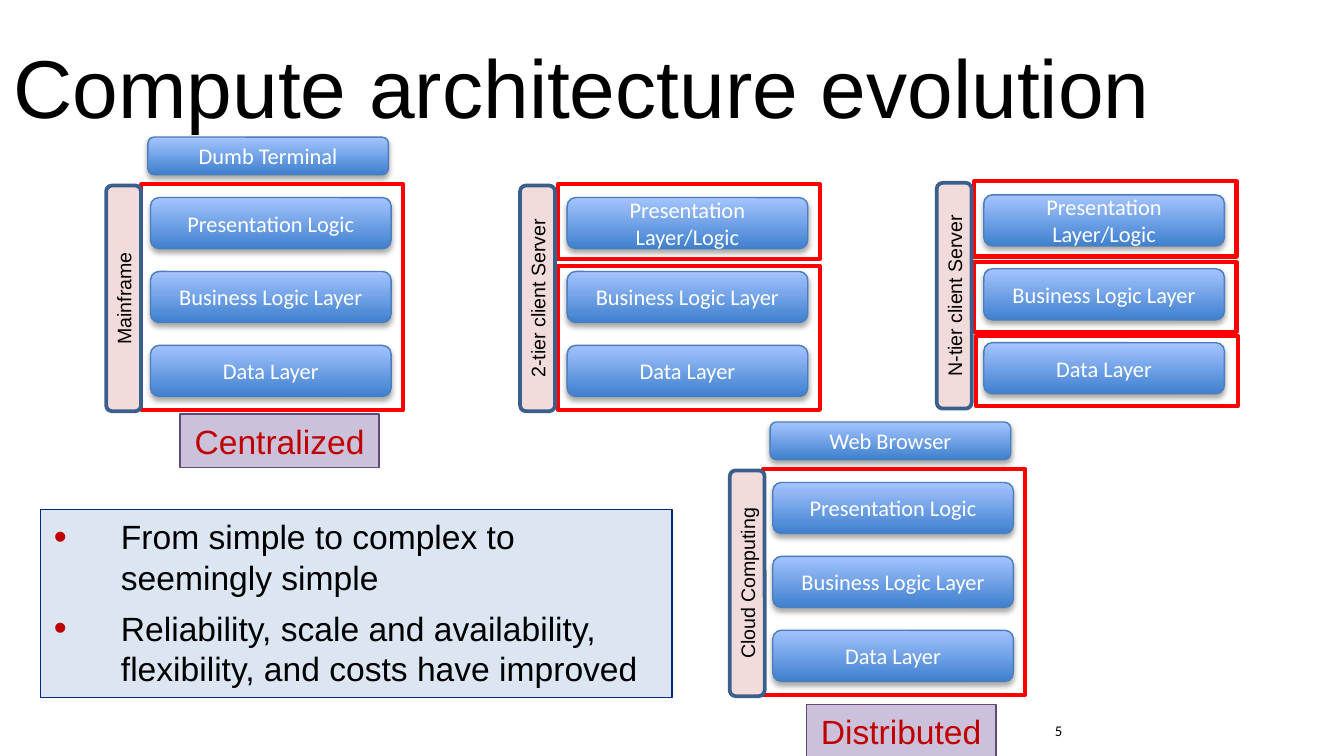
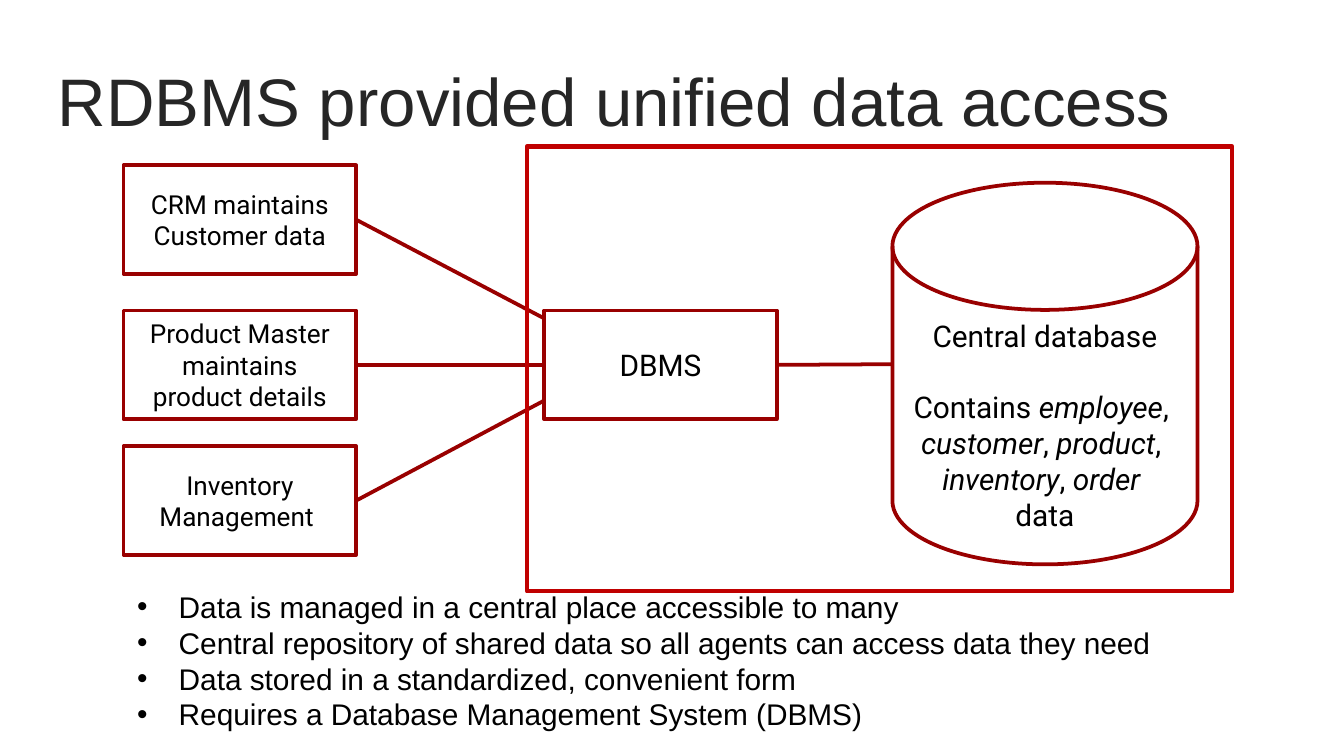
from lxml.etree import SubElement
from pptx import Presentation
from pptx.dml.color import RGBColor
from pptx.enum.shapes import MSO_CONNECTOR, MSO_SHAPE as Preset
from pptx.enum.text import MSO_ANCHOR as Anchor, MSO_AUTO_SIZE as AutoSize, PP_ALIGN as Align
from pptx.oxml.ns import qn
from pptx.util import Inches, Pt

BLACK, WHITE = "000000", "FFFFFF"
RED, DARK_RED, FRAME_RED = "C00000", "990000", "FF0000"
BLUE_GRADIENT = ("3F80CE", "A4C4FF")
hex_color = RGBColor.from_string


def format_text(frame, font, size, color, align=Align.LEFT):
    for para in frame.paragraphs:
        para.alignment = align
        for span in para.runs:
            span.font.name = font
            span.font.size = Pt(size)
            span.font.color.rgb = hex_color(color)


def add_box(page, preset, place, line, width, fill=None, text="",
            font="Arial", size=18, color=BLACK):
    """Add a shape; a pair of fill colours means a raised vertical gradient, bottom to top."""
    box = page.shapes.add_shape(preset, *map(Inches, place))
    box.shadow.inherit = False
    box.line.color.rgb = hex_color(line)
    box.line.width = Pt(width)
    if fill is None:
        box.fill.background()
    elif isinstance(fill, str):
        box.fill.solid()
        box.fill.fore_color.rgb = hex_color(fill)
    else:
        box.fill.gradient()
        box.fill.gradient_angle = 90
        for stop, shade in zip(box.fill.gradient_stops, fill):
            stop.color.rgb = hex_color(shade)
        effects = box._element.spPr.find(qn("a:effectLst"))
        shadow = SubElement(effects, qn("a:outerShdw"), blurRad=str(Pt(3.1)),
                            dist=str(Pt(1.8)), dir="5400000", rotWithShape="0")
        shadow_color = SubElement(shadow, qn("a:srgbClr"), val=BLACK)
        SubElement(shadow_color, qn("a:alpha"), val="35000")
    box.text_frame.text = text
    box.text_frame.vertical_anchor = Anchor.MIDDLE
    format_text(box.text_frame, font, size, color, Align.CENTER)
    return box


deck = Presentation()
deck.slide_width = Inches(10)
deck.slide_height = deck.slide_width * 9 // 16

# Titles and lists
outlines = [
    dict(title="Compute architecture evolution", title_place=(0, 0.21, 9.82, 0.86),
         title_size=44, title_color=BLACK,
         items=["From simple to complex to seemingly simple",
                "Reliability, scale and availability, flexibility, and costs have improved"],
         list_place=(0.3, 3.79, 4.7, 1.4), list_size=18, indent=0.5, gap=6,
         bullet_color=RED, bullet_size=110),
    dict(title="RDBMS provided unified data access", title_place=(0.33, 0.45, 9.67, 0.58),
         title_size=36, title_color="262626",
         items=["Data is managed in a central place accessible to many",
                "Central repository of shared data so all agents can access data they need",
                "Data stored in a standardized, convenient form",
                "Requires a Database Management System (DBMS)"],
         list_place=(0.92, 4.33, 7.84, 1.18), list_size=16, indent=0.31, gap=0,
         bullet_color=BLACK, bullet_size=100),
]
for outline in outlines:
    page = deck.slides.add_slide(deck.slide_layouts[1])
    title, body = page.shapes.title, page.placeholders[1]
    for holder, part in ((title, "title"), (body, "list")):
        holder.left, holder.top, holder.width, holder.height = map(
            Inches, outline[part + "_place"])
        holder.text_frame.word_wrap = True
        holder.text_frame.auto_size = AutoSize.NONE
    title.text_frame.text = outline["title"]
    title.text_frame.vertical_anchor = Anchor.MIDDLE
    format_text(title.text_frame, "Arial", outline["title_size"], outline["title_color"])

    body.text_frame.text = "\n".join(outline["items"])
    format_text(body.text_frame, "Arial", outline["list_size"], BLACK)
    for para in body.text_frame.paragraphs:
        para.space_before = Pt(0)
        para.space_after = Pt(outline["gap"])
        properties = para._p.get_or_add_pPr()
        properties.set("marL", str(Inches(outline["indent"])))
        properties.set("indent", str(-Inches(outline["indent"])))
        bullet_color = SubElement(properties, qn("a:buClr"))
        SubElement(bullet_color, qn("a:srgbClr"), val=outline["bullet_color"])
        SubElement(properties, qn("a:buSzPct"), val=str(outline["bullet_size"] * 1000))
        SubElement(properties, qn("a:buFont"), typeface="Arial")
        SubElement(properties, qn("a:buChar"), char="•")

evolution_page, database_page = deck.slides

# Slide 1: four architectures, each a stack of three layers
list_box = evolution_page.placeholders[1]
list_box.fill.solid()
list_box.fill.fore_color.rgb = hex_color("DCE6F2")
list_box.line.color.rgb = hex_color("002A7E")
list_box.line.width = Pt(0.75)

number_box = evolution_page.shapes.add_textbox(*map(Inches, (7.75, 5.32, 2.25, 0.3)))
number_box.text_frame.word_wrap = True
number_box.text_frame.text = "5"
format_text(number_box.text_frame, "Calibri", 7.9, BLACK)

# name, name left, left, top, first layer, client,
# tiers (indent, offset, height), caption (place, text)
architectures = [
    ("2-tier client Server", 3.16, 4.15, 1.37, "Presentation Layer/Logic", None,
     [(0, 0, 0.56), (0, 0.61, 1.07)], None),
    ("N-tier client Server", 6.26, 7.25, 1.35, "Presentation Layer/Logic", None,
     [(0, 0, 0.56), (0, 0.6, 0.52), (0.01, 1.15, 0.52)], None),
    ("Mainframe", 0.08, 1.05, 1.37, "Presentation Logic", "Dumb Terminal",
     [(0, 0, 1.68)], ((1.34, 3.08, 1.48, 0.4), "Centralized")),
    ("Cloud Computing", 4.72, 5.68, 3.49, "Presentation Logic", "Web Browser",
     [(0, 0, 1.68)], ((6, 5.24, 1.41, 0.4), "Distributed")),
]
for name, name_left, left, top, first_layer, client, tiers, caption in architectures:
    blocks = [(left + 0.07, top + 0.1 + 0.55 * row, 0.38, layer) for row, layer in
              enumerate((first_layer, "Business Logic Layer", "Data Layer"))]
    if client:
        blocks.append((left + 0.05, top - 0.35, 0.28, client))
    for block_left, block_top, height, text in blocks:
        add_box(evolution_page, Preset.ROUNDED_RECTANGLE, (block_left, block_top, 1.79, height),
                "4B7EBC", 0.75, BLUE_GRADIENT, text, "Calibri", 12, WHITE)
    for indent, offset, height in tiers:
        add_box(evolution_page, Preset.RECTANGLE, (left + indent, top + offset, 1.95, height),
                FRAME_RED, 2.25)
    side_label = add_box(evolution_page, Preset.ROUNDED_RECTANGLE,
                         (name_left, top + 0.72, 1.68, 0.26),
                         "3A5F8C", 2, "F2DCDB", name, size=10.5)
    side_label.rotation = 270
    if caption:
        place, text = caption
        caption_box = add_box(evolution_page, Preset.RECTANGLE, place, "604A7B", 0.75,
                              "CCC1DA", text, color=RED)
        caption_box.text_frame.word_wrap = False

# Slide 2: applications reach the database through the DBMS
dbms = add_box(database_page, Preset.RECTANGLE, (4.05, 2.31, 1.73, 0.81), DARK_RED, 2,
               text="DBMS", font="Roboto", size=16)
dbms.text_frame.word_wrap = False
database = add_box(database_page, Preset.FLOWCHART_MAGNETIC_DISK, (6.64, 1.36, 2.27, 2.84),
                   DARK_RED, 2)

# source, start, end, whether the end is the middle of the DBMS side
links = [(dbms, (5.78, 2.71), (6.64, 2.71), False)]
applications = [("CRM maintains Customer data", 1.23, 2.37),
                ("Product Master maintains product details", 2.31, 2.71),
                ("Inventory Management ", 3.32, 2.98)]
for text, top, link_end in applications:
    application = add_box(database_page, Preset.RECTANGLE, (0.92, top, 1.73, 0.81),
                          DARK_RED, 2, text=text, font="Roboto", size=14)
    links.append((application, (2.65, top + 0.4), (4.05, link_end), link_end == 2.71))
for source, start, end, joined in links:
    link = database_page.shapes.add_connector(MSO_CONNECTOR.STRAIGHT,
                                              *map(Inches, start + end))
    link.begin_connect(source, 3)
    if joined:
        link.end_connect(dbms, 1)
    link.line.color.rgb = hex_color(DARK_RED)
    link.line.width = Pt(2)
    SubElement(link._element.spPr, qn("a:effectLst"))

# Every second piece of a line is italic
database_lines = [["Central database"],
                  ["Contains ", "employee", ", "],
                  ["", "customer", ", ", "product", ", "],
                  ["", "inventory", ", ", "order "],
                  ["data"]]
frame = database.text_frame
frame.word_wrap = False
frame.margin_top = Inches(0.34)
for row, pieces in enumerate(database_lines):
    para = frame.add_paragraph() if row else frame.paragraphs[0]
    for position, piece in enumerate(pieces):
        if piece:
            span = para.add_run()
            span.text = piece
            span.font.italic = position % 2 == 1
frame.paragraphs[1].space_before = Pt(19)
format_text(frame, "Roboto", 16, BLACK, Align.CENTER)

add_box(database_page, Preset.RECTANGLE, (3.92, 1.09, 5.25, 3.31), RED, 2.25)

deck.save("out.pptx")
